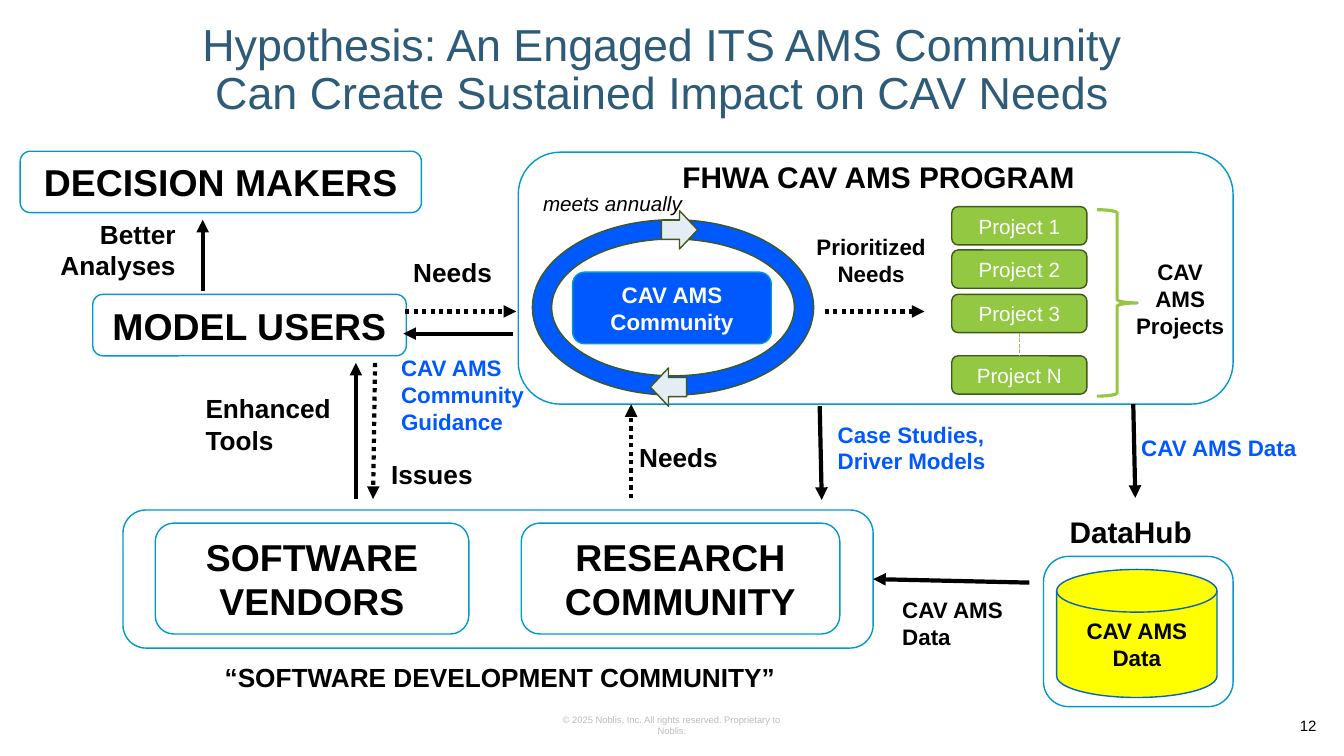
"""Build the slide on how an engaged community serves CAV needs."""
from dataclasses import dataclass
from typing import Optional

from lxml.etree import SubElement
from pptx import Presentation
from pptx.dml.color import RGBColor
from pptx.enum.dml import MSO_LINE
from pptx.enum.shapes import MSO_CONNECTOR, MSO_SHAPE
from pptx.enum.text import MSO_ANCHOR, PP_ALIGN
from pptx.oxml.ns import qn
from pptx.shapes.autoshape import Shape
from pptx.shapes.connector import Connector
from pptx.shapes.shapetree import SlideShapes
from pptx.text.text import TextFrame
from pptx.util import Inches, Pt

BLACK = RGBColor(0x00, 0x00, 0x00)
WHITE = RGBColor(0xFF, 0xFF, 0xFF)
BLUE = RGBColor(0x00, 0x59, 0xFF)
CYAN = RGBColor(0x00, 0x99, 0xCC)
NAVY = RGBColor(0x2E, 0x5B, 0x78)
GREEN = RGBColor(0x93, 0xC8, 0x43)
OLIVE = RGBColor(0x40, 0x58, 0x1D)
PALE = RGBColor(0xE4, 0xED, 0xF3)
YELLOW = RGBColor(0xFF, 0xFF, 0x00)
COBALT = RGBColor(0x05, 0x63, 0xC1)
GREY = RGBColor(0xBA, 0xBC, 0xBB)

LEFT, MID, RIGHT = PP_ALIGN.LEFT, PP_ALIGN.CENTER, PP_ALIGN.RIGHT
Place = tuple[float, float, float, float]
Point = tuple[float, float]


@dataclass(frozen=True)
class Style:
    size: float
    color: RGBColor = BLACK
    bold: bool = True
    slant: bool = False
    align: PP_ALIGN = MID
    space: float = 1.0


@dataclass(frozen=True)
class Box:
    place: Place
    text: str = ""
    style: Style = Style(26.7)
    fill: Optional[RGBColor] = None
    edge: RGBColor = CYAN
    kind: MSO_SHAPE = MSO_SHAPE.ROUNDED_RECTANGLE
    turn: float = 0
    width: float = 1
    adjust: Optional[float] = None


@dataclass(frozen=True)
class Note:
    place: Place
    text: str
    style: Style
    wrap: bool = False


@dataclass(frozen=True)
class Arrow:
    start: Point
    end: Point
    dash: Optional[MSO_LINE] = None
    color: RGBColor = BLACK
    width: float = 3
    head: bool = True


HEAD = Style(18.7, align=LEFT)
TITLE = Style(21.3, align=LEFT)
LABEL = Style(16)
SIDE = Style(16, align=LEFT)
LINK = Style(16, BLUE, align=LEFT)
TASK = Style(14.7, WHITE, bold=False)
DOTS = MSO_LINE.ROUND_DOT

GROUP = Box((1.22, 5.06, 7.44, 1.37))
BOXES = [
    Box((5.14, 1.51, 7.09, 2.5)),
    Box((10.35, 5.52, 1.88, 1.49)),
    Box((5.17, 5.19, 3.16, 1.1), "RESEARCH\nCOMMUNITY", fill=WHITE),
    Box((1.54, 5.19, 3.11, 1.1), "SOFTWARE\nVENDORS", fill=WHITE),
    Box((0.92, 2.92, 3.11, 0.61), "MODEL USERS", fill=WHITE),
    Box((0.2, 1.5, 3.98, 0.61), "DECISION MAKERS", fill=WHITE),
    Box((5.68, 2.7, 1.97, 0.71), "CAV AMS Community", Style(16, WHITE), BLUE),
    Box((5.28, 2.18, 2.79, 1.74), fill=BLUE, edge=OLIVE,
        kind=MSO_SHAPE.DONUT, adjust=0.11),
    Box((6.56, 2.09, 0.36, 0.38), fill=PALE, edge=OLIVE,
        kind=MSO_SHAPE.RIGHT_ARROW),
    Box((6.45, 3.65, 0.36, 0.38), fill=PALE, edge=OLIVE,
        kind=MSO_SHAPE.RIGHT_ARROW, turn=180),
    Box((10.48, 5.65, 1.59, 1.27), "CAV AMS\nData", LABEL, YELLOW, COBALT,
        MSO_SHAPE.FLOWCHART_MAGNETIC_DISK),
    Box((10.88, 2.08, 0.4, 1.85), edge=GREEN, kind=MSO_SHAPE.LEFT_BRACE,
        turn=180, width=2.25),
]
TASKS = [("Project 1", 2.05), ("Project 2", 2.48),
         ("Project 3", 2.92), ("Project N", 3.53)]
NOTES = [
    Note((0.35, 0.16, 12.44, 1.09),
         "Hypothesis: An Engaged ITS AMS Community\n"
         "Can Create Sustained Impact on CAV Needs",
         Style(32, NAVY, bold=False, space=0.9), True),
    Note((1.94, 3.84, 1.45, 0.73), "Enhanced\nTools", HEAD),
    Note((0.2, 2.11, 1.64, 0.73), "Better Analyses",
         Style(18.7, align=RIGHT), True),
    Note((6.67, 1.52, 4.2, 0.46), "FHWA CAV AMS PROGRAM", TITLE),
    Note((4, 2.49, 0.99, 0.42), "Needs", HEAD),
    Note((6.24, 4.32, 0.99, 0.42), "Needs", HEAD),
    Note((3.78, 4.49, 1.02, 0.42), "Issues", HEAD),
    Note((11.22, 4.26, 1.78, 0.37), "CAV AMS Data", LINK),
    Note((2.13, 6.51, 5.72, 0.42), "“SOFTWARE DEVELOPMENT COMMUNITY”", HEAD),
    Note((3.88, 3.46, 1.44, 0.91), "CAV AMS\nCommunity\nGuidance", LINK),
    Note((5.28, 1.84, 1.59, 0.35), "meets annually",
         Style(14.7, bold=False, slant=True)),
    Note((10.51, 5.04, 1.43, 0.46), "DataHub", TITLE),
    Note((8.85, 5.86, 1.32, 0.64), "CAV AMS Data", SIDE, True),
    Note((11.16, 2.51, 1.09, 0.91), "CAV\nAMS\nProjects", LABEL),
    Note((8.21, 4.12, 1.69, 0.64), "Case Studies,\nDriver Models", LINK),
    Note((7.99, 2.26, 1.3, 0.64), "Prioritized\nNeeds", LABEL),
    Note((5.33, 7.06, 2.67, 0.27),
         "© 2025 Noblis, Inc. All rights reserved. Proprietary to Noblis.",
         Style(6.7, GREY, bold=False)),
    Note((12.61, 7.03, 0.73, 0.33), "12", Style(10.7, bold=False)),
]
ARROWS = [
    Arrow((3.53, 4.95), (3.53, 3.6)),
    Arrow((2.01, 2.89), (2.01, 2.18)),
    Arrow((11.24, 4.01), (11.26, 4.94)),
    Arrow((3.72, 3.6), (3.7, 4.95), DOTS),
    Arrow((8.18, 3.09), (9.17, 3.09), DOTS),
    Arrow((6.26, 4.94), (6.26, 4.01), DOTS),
    Arrow((4.02, 3.09), (5.12, 3.09), DOTS),
    Arrow((5.09, 3.31), (4, 3.31)),
    Arrow((8.13, 4.03), (8.15, 4.96)),
]


def write(frame: TextFrame, text: str, style: Style, wrap: bool) -> None:
    frame.text = text
    frame.word_wrap = wrap
    frame.vertical_anchor = MSO_ANCHOR.MIDDLE
    for line in frame.paragraphs:
        line.alignment = style.align
        line.line_spacing = style.space
        font = line.font
        font.name, font.size = "Arial", Pt(style.size)
        font.bold, font.italic = style.bold, style.slant
        font.color.rgb = style.color


def add_box(shapes: SlideShapes, box: Box) -> Shape:
    shape = shapes.add_shape(box.kind, *map(Inches, box.place))
    shape.shadow.inherit = False
    shape.rotation = box.turn
    shape.line.color.rgb = box.edge
    shape.line.width = Pt(box.width)
    if box.adjust is not None:
        shape.adjustments[0] = box.adjust
    if box.fill is None:
        shape.fill.background()
    else:
        shape.fill.solid()
        shape.fill.fore_color.rgb = box.fill
    if box.text:
        write(shape.text_frame, box.text, box.style, True)
    return shape


def add_note(shapes: SlideShapes, note: Note) -> None:
    frame = shapes.add_textbox(*map(Inches, note.place)).text_frame
    write(frame, note.text, note.style, note.wrap)


def add_arrow(shapes: SlideShapes, arrow: Arrow) -> Connector:
    line = shapes.add_connector(
        MSO_CONNECTOR.STRAIGHT, *map(Inches, arrow.start + arrow.end))
    line.line.color.rgb = arrow.color
    line.line.width = Pt(arrow.width)
    if arrow.dash is not None:
        line.line.dash_style = arrow.dash
    props = line._element.spPr
    if arrow.head:
        SubElement(props.find(qn("a:ln")), qn("a:tailEnd"), type="triangle")
    SubElement(props, qn("a:effectLst"))
    return line


def main() -> None:
    deck = Presentation()
    deck.slide_width, deck.slide_height = Inches(13.33), Inches(7.5)
    shapes = deck.slides.add_slide(deck.slide_layouts[6]).shapes
    group = add_box(shapes, GROUP)
    for box in BOXES:
        add_box(shapes, box)
    tasks = [add_box(shapes, Box((9.44, top, 1.34, 0.38), name, TASK, GREEN, OLIVE))
             for name, top in TASKS]
    for arrow in ARROWS:
        add_arrow(shapes, arrow)
    data = add_arrow(shapes, Arrow((10.21, 5.78), (8.66, 5.75)))
    data.end_connect(group, 3)
    more = add_arrow(shapes, Arrow(
        (10.11, 3.3), (10.11, 3.53), MSO_LINE.SQUARE_DOT, GREEN, 1, False))
    more.begin_connect(tasks[2], 2)
    more.end_connect(tasks[3], 0)
    for note in NOTES:
        add_note(shapes, note)
    deck.save("out.pptx")


if __name__ == "__main__":
    main()
